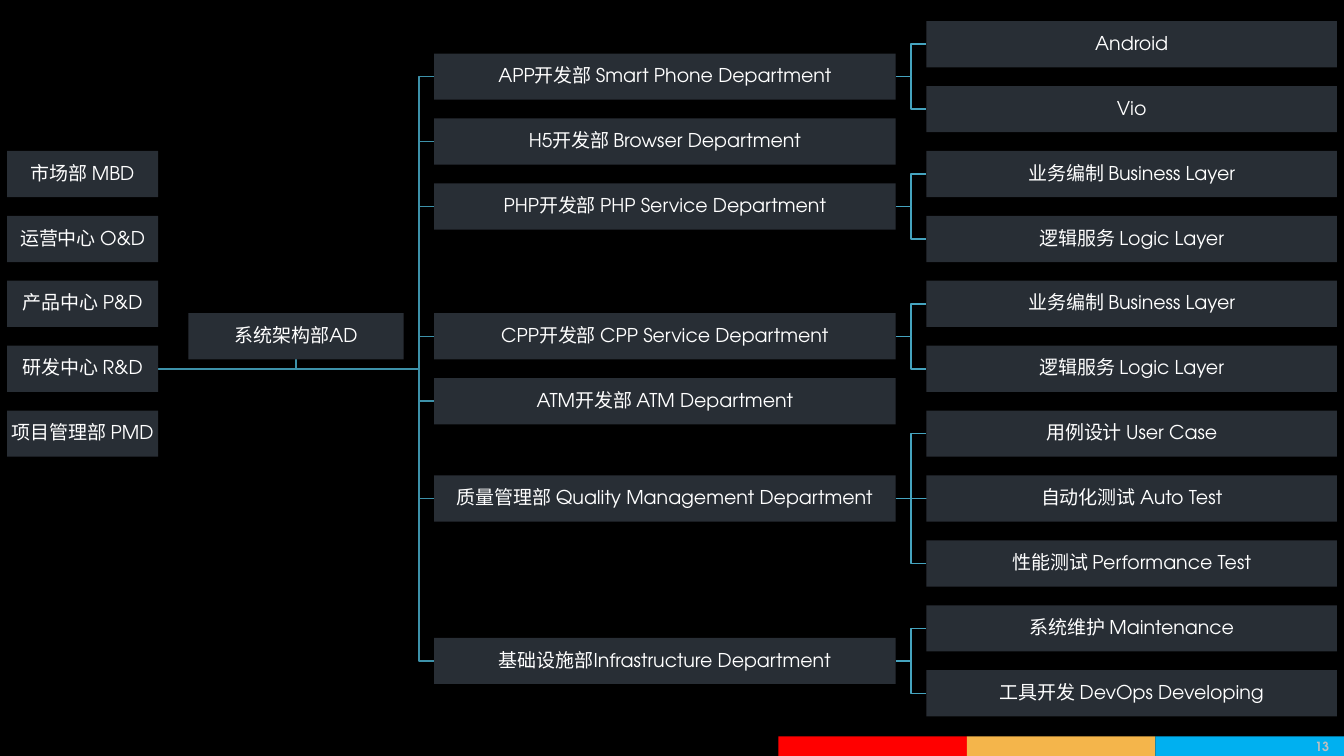
import pptx
import pptx.util
import pptx.dml.color
import pptx.enum.shapes
import pptx.enum.text
import pptx.oxml
import pptx.oxml.ns

Cm = pptx.util.Cm
Pt = pptx.util.Pt
Link = pptx.enum.shapes.MSO_CONNECTOR
Align = pptx.enum.text.PP_ALIGN

FONT = "TeX Gyre Adventor"
WIDE, HIGH = 47.42, 26.67
TOP, STEP, TALL = 1.56, 2.29, 1.63  # first row centre, row pitch, box height

# Row numbers count box pitches down from the first team
UNITS = [(2, "市场部 MBD"), (3, "运营中心 O&D"), (4, "产品中心 P&D"),
         (5, "研发中心 R&D"), (6, "项目管理部 PMD")]
ROOT = 5
STAFF = (4.5, "系统架构部AD")
DEPTS = [
    (0.5, "APP开发部 Smart Phone Department", [(0, "Android"), (1, "Vio")]),
    (1.5, "H5开发部 Browser Department", []),
    (2.5, "PHP开发部 PHP Service Department",
     [(2, "业务编制 Business Layer"), (3, "逻辑服务 Logic Layer")]),
    (4.5, "CPP开发部 CPP Service Department",
     [(4, "业务编制 Business Layer"), (5, "逻辑服务 Logic Layer")]),
    (5.5, "ATM开发部 ATM Department", []),
    (7, "质量管理部 Quality Management Department",
     [(6, "用例设计 User Case"), (7, "自动化测试 Auto Test"),
      (8, "性能测试 Performance Test")]),
    (9.5, "基础设施部Infrastructure Department",
     [(9, "系统维护 Maintenance"), (10, "工具开发 DevOps Developing")]),
]


def paint(hue):
    return pptx.dml.color.RGBColor.from_string(hue)


def write(shape, text, size=19, hue="FFFFFF", bold=False, align=Align.CENTER, space=0.9):
    frame = shape.text_frame
    frame.word_wrap = True
    frame.vertical_anchor = pptx.enum.text.MSO_ANCHOR.MIDDLE
    frame.margin_left = frame.margin_right = Cm(0.03)
    frame.margin_top = frame.margin_bottom = Cm(0.03)
    para = frame.paragraphs[0]
    para.alignment = align
    para.line_spacing = space
    run = para.add_run()
    run.text = text
    run.font.name = FONT
    run.font.size = Pt(size)
    run.font.bold = bold
    run.font.color.rgb = paint(hue)


def block(slide, left, top, wide, tall, fill):
    shape = slide.shapes.add_shape(pptx.enum.shapes.MSO_SHAPE.RECTANGLE,
                                   Cm(left), Cm(top), Cm(wide), Cm(tall))
    shape.shadow.inherit = False
    shape.fill.solid()
    shape.fill.fore_color.rgb = paint(fill)
    shape.line.fill.background()
    return shape


def level(box, row):
    return box[1] + TOP + STEP * row


def card(slide, box, left, wide, row, text):
    shape = block(slide, box[0] + left, level(box, row) - TALL / 2, wide, TALL, "282E35")
    write(shape, text)


def link(slide, start, end, hue, bend=0.5):
    straight = start[0] == end[0] or start[1] == end[1]
    kind = Link.STRAIGHT if straight else Link.ELBOW
    line = slide.shapes.add_connector(kind, *map(Cm, start + end))
    line.line.color.rgb = paint(hue)
    line.line.width = Pt(1.5)
    props = line._element.spPr
    if not straight:
        geom = props.find(pptx.oxml.ns.qn("a:prstGeom"))
        for old in geom.findall(pptx.oxml.ns.qn("a:avLst")):
            geom.remove(old)
        geom.append(pptx.oxml.parse_xml(
            f'<a:avLst {pptx.oxml.ns.nsdecls("a")}>'
            f'<a:gd name="adj1" fmla="val {round(bend * 100000)}"/></a:avLst>'))
    props.append(pptx.oxml.parse_xml(f'<a:effectLst {pptx.oxml.ns.nsdecls("a")}/>'))


def chart(slide, box):
    unit, staff, dept, team = (0.25, 5.33), (6.65, 7.59), (15.32, 16.28), (32.69, 14.48)
    left = box[0]
    root = (left + sum(unit), level(box, ROOT))
    trunk = 14.78
    bend = (trunk - sum(unit)) / (dept[0] - sum(unit))

    # Lines lie behind the cards
    hub = left + staff[0] + staff[1] / 2
    link(slide, (hub, root[1]), (hub, level(box, STAFF[0]) + TALL / 2), "3D91A9")
    for row, name, teams in DEPTS:
        mid = level(box, row)
        link(slide, root, (left + dept[0], mid), "3D91A9", bend)
        for spot, label in teams:
            link(slide, (left + sum(dept), mid), (left + team[0], level(box, spot)), "45A4BF")

    # Cards, column by column
    for row, name in UNITS:
        card(slide, box, *unit, row, name)
    card(slide, box, *staff, *STAFF)
    for row, name, teams in DEPTS:
        card(slide, box, *dept, row, name)
        for spot, label in teams:
            card(slide, box, *team, spot, label)


def footer(slide, box):
    left, top, wide, tall = box
    part = wide / 3
    for i, hue in enumerate(["FF0000", "F4B54B", "00B0F0"]):
        block(slide, left + i * part, top, part, tall, hue)
    # Page number
    page = slide.shapes.add_textbox(Cm(left + wide - 2.42), Cm(top), Cm(2.12), Cm(tall))
    write(page, "13", size=12.6, hue="BFBFBF", bold=True, align=Align.RIGHT, space=1.0)
    page.text_frame.margin_right = Cm(0.22)


def main():
    deck = pptx.Presentation()
    deck.slide_width, deck.slide_height = Cm(WIDE), Cm(HIGH)
    slide = deck.slides.add_slide(deck.slide_layouts[6])
    slide.background.fill.solid()
    slide.background.fill.fore_color.rgb = paint("000000")
    footer(slide, (27.46, 25.98, WIDE - 27.46, HIGH - 25.98))
    chart(slide, (0, 0))
    deck.save("out.pptx")


if __name__ == "__main__":
    main()
